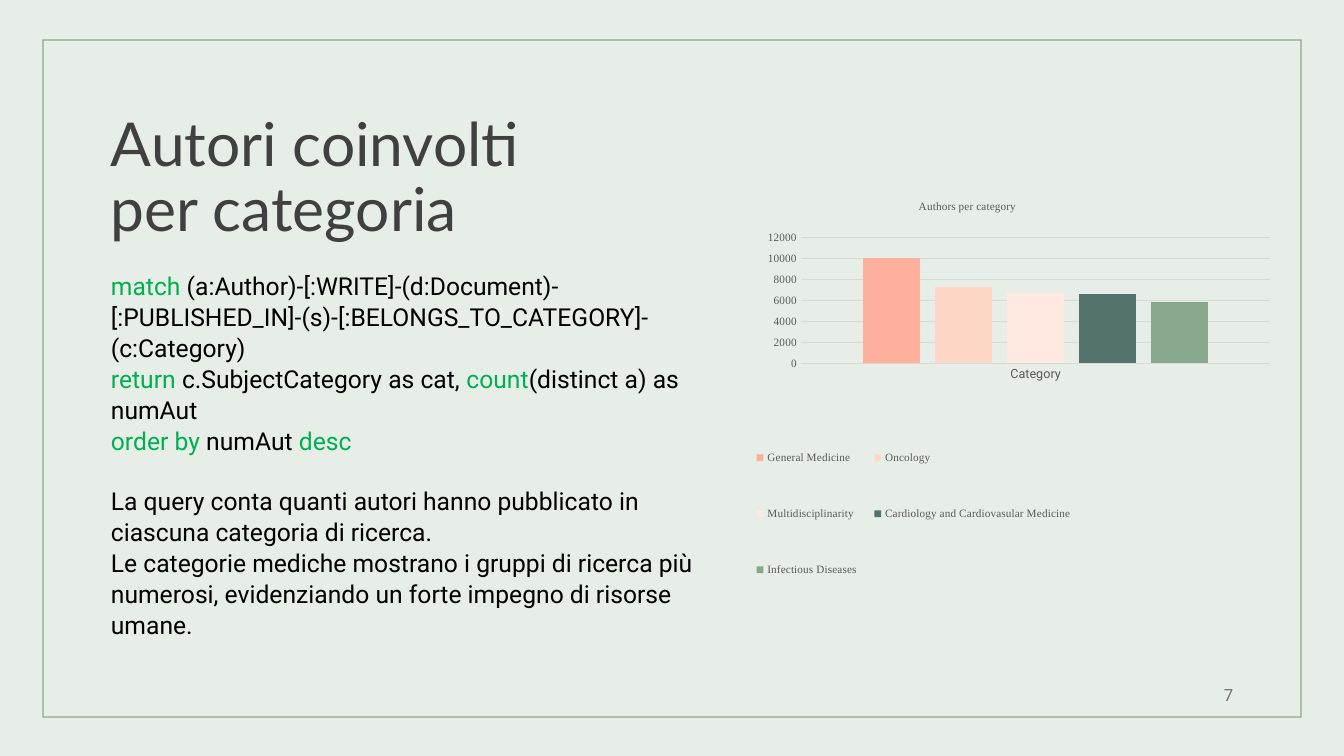
from lxml import etree
from pptx import Presentation
from pptx.chart.data import CategoryChartData
from pptx.dml.color import RGBColor
from pptx.enum.chart import XL_CHART_TYPE as ChartType
from pptx.enum.chart import XL_LEGEND_POSITION as LegendPosition
from pptx.enum.chart import XL_TICK_MARK as TickMark
from pptx.enum.shapes import MSO_SHAPE as Shape
from pptx.enum.text import MSO_ANCHOR as Anchor
from pptx.enum.text import MSO_AUTO_SIZE as AutoSize
from pptx.enum.text import PP_ALIGN as Align
from pptx.oxml.ns import qn
from pptx.util import Inches, Pt

PALE_GREEN = RGBColor(0xE7, 0xEE, 0xE8)
SAGE = RGBColor(0x88, 0xA8, 0x8E)
CHARCOAL = RGBColor(0x40, 0x40, 0x40)
KEYWORD_GREEN = RGBColor(0x00, 0xB0, 0x50)
BLACK = RGBColor(0x00, 0x00, 0x00)
PAGE_GREY = RGBColor(0x76, 0x71, 0x71)
LABEL_GREY = RGBColor(0x59, 0x59, 0x59)
GRID_GREY = RGBColor(0xD9, 0xD9, 0xD9)

AUTHORS = [
    ("General Medicine", 10000, RGBColor(0xFF, 0xB0, 0x9D)),
    ("Oncology", 7300, RGBColor(0xFF, 0xD7, 0xC7)),
    ("Multidisciplinarity", 6700, RGBColor(0xFF, 0xE9, 0xE0)),
    ("Cardiology and Cardiovasular Medicine", 6600, RGBColor(0x55, 0x73, 0x6D)),
    ("Infectious Diseases", 5800, SAGE),
]

# Each paragraph: space before in points, then its runs as (text, colour)
QUERY_AND_NOTES = [
    (0, [("match", KEYWORD_GREEN),
         (" (a:Author)-[:WRITE]-(d:Document)-[:PUBLISHED_IN]-(s)"
          "-[:BELONGS_TO_CATEGORY]-(c:Category)", BLACK)]),
    (0, [("return ", KEYWORD_GREEN),
         ("c.SubjectCategory as cat, ", BLACK),
         ("count", KEYWORD_GREEN),
         ("(distinct a) as numAut", BLACK)]),
    (0, [("order by ", KEYWORD_GREEN), ("numAut ", BLACK), ("desc", KEYWORD_GREEN)]),
    (20.8, [("La query conta quanti autori hanno pubblicato in "
             "ciascuna categoria di ricerca.", BLACK)]),
    (0, [("Le categorie mediche mostrano i gruppi di ricerca più numerosi, "
          "evidenziando un forte impegno di risorse umane.", BLACK)]),
]


def set_font(font, name, size, color):
    font.name = name
    font.size = Pt(size)
    font.color.rgb = color


def place(shape, left, top, width, height):
    shape.left, shape.top = Inches(left), Inches(top)
    shape.width, shape.height = Inches(width), Inches(height)


def set_chart_layout(element, index, inner=False, **fractions):
    """Place a chart part by fractions of the chart's size."""
    for old_layout in element.findall(qn("c:layout")):
        element.remove(old_layout)
    layout = etree.Element(qn("c:layout"))
    manual = etree.SubElement(layout, qn("c:manualLayout"))
    if inner:
        etree.SubElement(manual, qn("c:layoutTarget"), val="inner")
    for mode in ("xMode", "yMode"):
        etree.SubElement(manual, qn(f"c:{mode}"), val="edge")
    for key, fraction in fractions.items():
        etree.SubElement(manual, qn(f"c:{key}"), val=str(fraction))
    element.insert(index, layout)


class SlideBuilder:
    heading_font = "Lato"
    body_font = "Roboto"
    chart_font = "Times New Roman"

    def __init__(self, slide):
        self.slide = slide
        slide.background.fill.solid()
        slide.background.fill.fore_color.rgb = PALE_GREEN

    def frame(self, *box):
        border = self.slide.shapes.add_shape(Shape.FRAME, *map(Inches, box))
        border.adjustments[0] = 0.002
        border.shadow.inherit = False
        border.fill.solid()
        border.fill.fore_color.rgb = SAGE
        border.line.fill.background()

    def title(self, text, *box):
        heading = self.slide.shapes.title
        place(heading, *box)
        frame = heading.text_frame
        frame.text = text
        frame.word_wrap = True
        frame.auto_size = AutoSize.NONE
        frame.vertical_anchor = Anchor.BOTTOM
        frame.margin_right = Inches(0.3)
        paragraph = frame.paragraphs[0]
        paragraph.alignment = Align.LEFT
        paragraph.line_spacing = 0.9
        set_font(paragraph.runs[0].font, self.heading_font, 43.2, CHARCOAL)

    def body(self, paragraphs, *box):
        content = self.slide.placeholders[1]
        place(content, *box)
        frame = content.text_frame
        frame.word_wrap = True
        frame.auto_size = AutoSize.NONE
        frame.vertical_anchor = Anchor.TOP
        for number, (space_before, runs) in enumerate(paragraphs):
            paragraph = frame.add_paragraph() if number else frame.paragraphs[0]
            paragraph.alignment = Align.LEFT
            paragraph.line_spacing = 1.05
            paragraph.space_before = Pt(space_before)
            paragraph.space_after = Pt(0)
            properties = paragraph._p.get_or_add_pPr()
            properties.set("marL", "0")
            properties.set("indent", "0")
            etree.SubElement(properties, qn("a:buNone"))
            for text, color in runs:
                run = paragraph.add_run()
                run.text = text
                set_font(run.font, self.body_font, 17.6, color)

    def page_number(self, number, *box):
        frame = self.slide.shapes.add_textbox(*map(Inches, box)).text_frame
        frame.text = number
        frame.word_wrap = True
        frame.vertical_anchor = Anchor.MIDDLE
        paragraph = frame.paragraphs[0]
        paragraph.alignment = Align.RIGHT
        set_font(paragraph.runs[0].font, self.body_font, 12, PAGE_GREY)

    def column_chart(self, title, category, rows, *box):
        data = CategoryChartData()
        data.categories = [category]
        for name, count, _ in rows:
            data.add_series(name, [count])
        chart = self.slide.shapes.add_chart(
            ChartType.COLUMN_CLUSTERED, *map(Inches, box), data).chart
        set_font(chart.font, self.body_font, 10, BLACK)

        plot = chart.plots[0]
        plot.vary_by_categories = False
        plot.gap_width, plot.overlap = 219, -27
        for series, (_, _, color) in zip(plot.series, rows):
            series.format.fill.solid()
            series.format.fill.fore_color.rgb = color

        chart.has_title = True
        heading = chart.chart_title
        heading.include_in_layout = False
        heading.text_frame.text = title
        heading_font = heading.text_frame.paragraphs[0].runs[0].font
        set_font(heading_font, self.chart_font, 8, LABEL_GREY)
        heading_font.bold = False

        chart.has_legend = True
        legend = chart.legend
        legend.position = LegendPosition.BOTTOM
        legend.include_in_layout = False
        set_font(legend.font, self.chart_font, 8, LABEL_GREY)

        categories, counts = chart.category_axis, chart.value_axis
        for axis, font, size in ((categories, self.body_font, 9),
                                 (counts, self.chart_font, 8)):
            axis.major_tick_mark = axis.minor_tick_mark = TickMark.NONE
            set_font(axis.tick_labels.font, font, size, LABEL_GREY)
        counts.minimum_scale, counts.maximum_scale = 0, 12000
        counts.major_unit = 2000
        counts.format.line.fill.background()
        for line in (categories.format.line, counts.major_gridlines.format.line):
            line.color.rgb = GRID_GREY
            line.width = Pt(0.75)

        plot_area = chart._chartSpace.chart.plotArea
        set_chart_layout(heading._element, 1, x=0.35, y=0.05)
        set_chart_layout(legend._element, 1, x=0.05, y=0.52, w=0.59, h=0.47)
        set_chart_layout(plot_area, 0, inner=True, x=0.15, y=0.14, w=0.81, h=0.28)


def main():
    deck = Presentation()
    deck.slide_width, deck.slide_height = Inches(13.33), Inches(7.5)
    builder = SlideBuilder(deck.slides.add_slide(deck.slide_layouts[1]))
    builder.frame(0.42, 0.39, 12.49, 6.73)
    builder.title("Autori coinvolti per categoria", 1, 0.99, 5.25, 1.49)
    builder.body(QUERY_AND_NOTES, 1, 2.62, 6.29, 3.15)
    builder.page_number("7", 9.33, 6.69, 3, 0.4)
    builder.column_chart("Authors per category", "Category", AUTHORS,
                         7.08, 1.73, 5.75, 4.46)
    deck.save("out.pptx")


if __name__ == "__main__":
    main()
